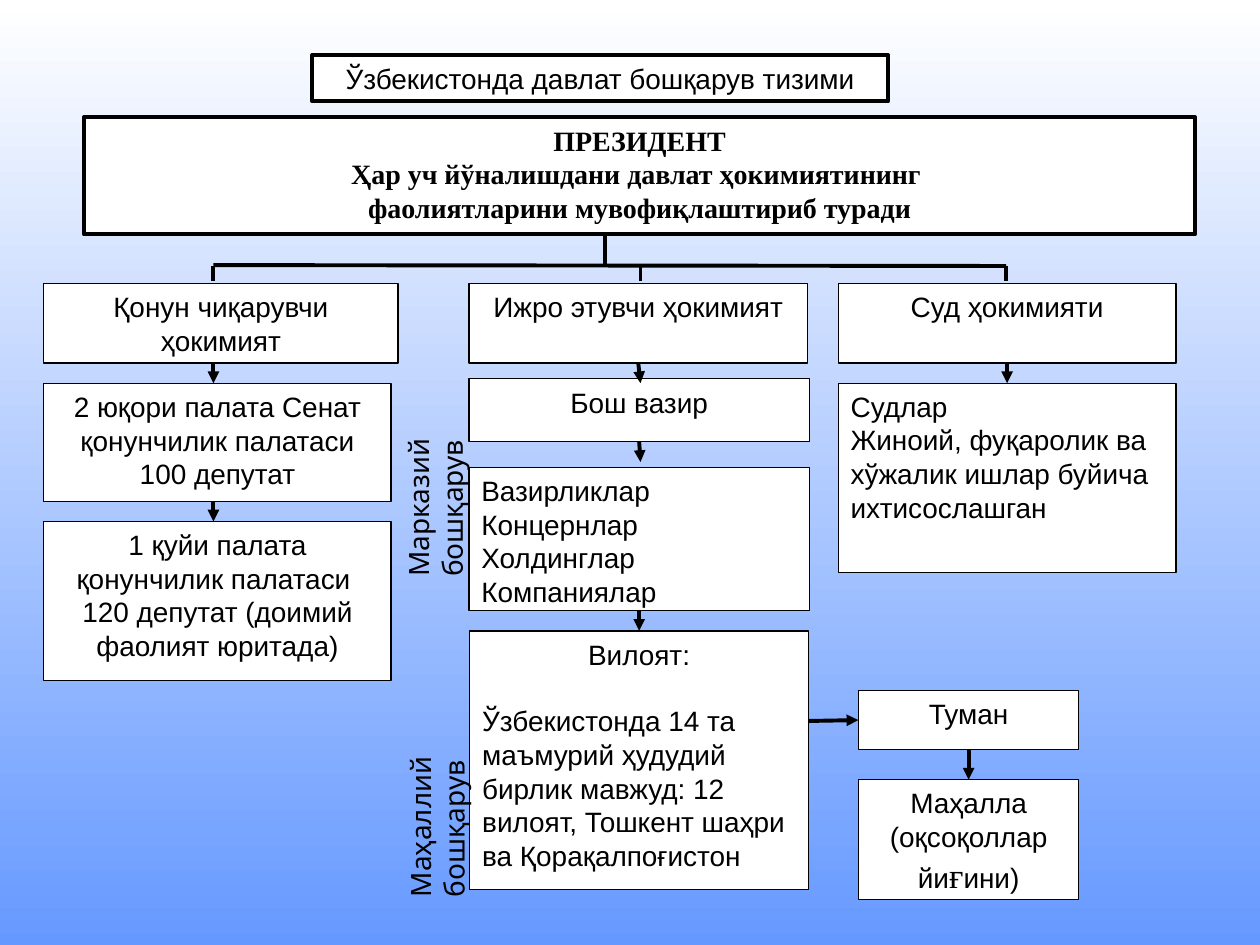
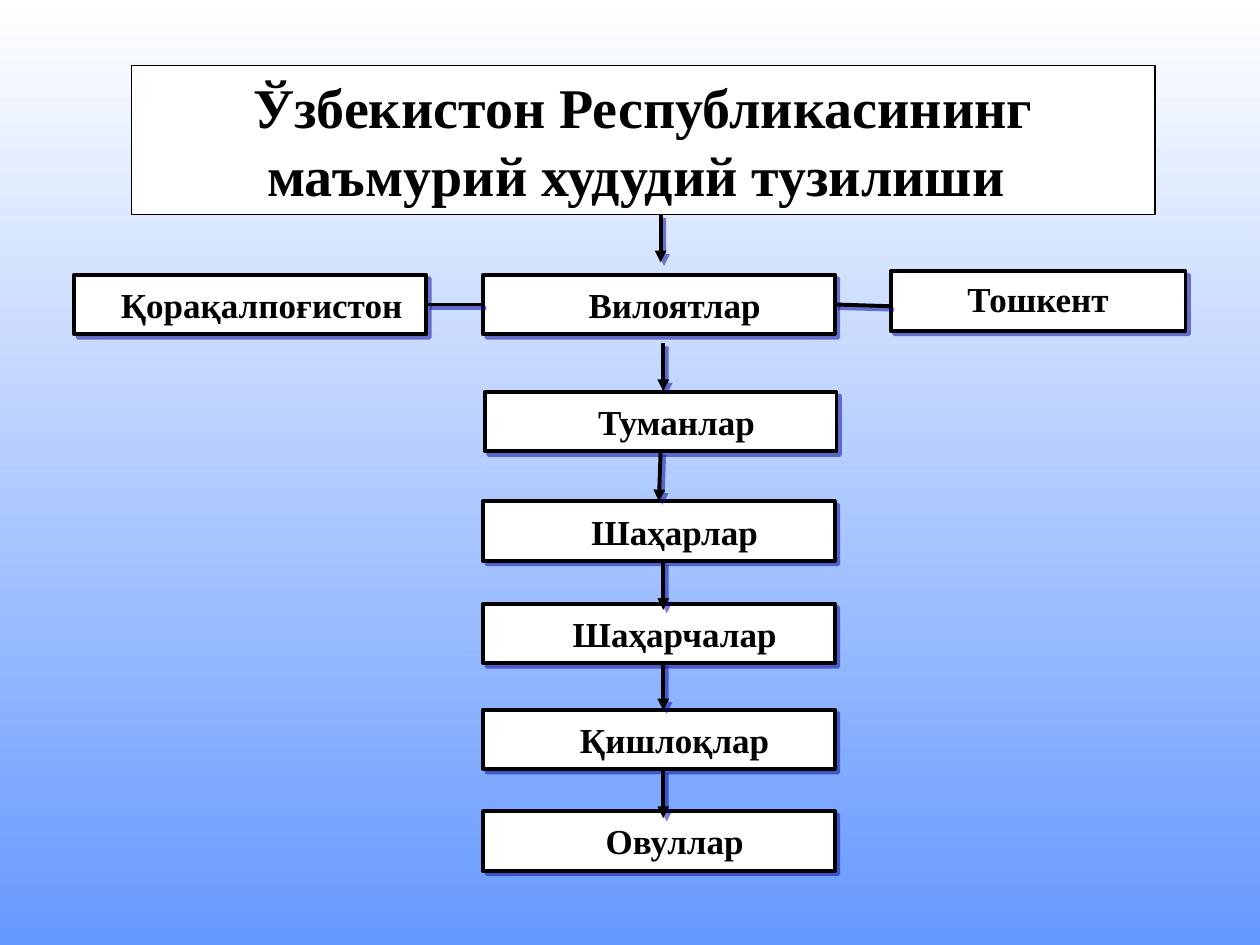
from dataclasses import dataclass
from math import dist

from lxml import etree
from pptx import Presentation
from pptx.dml.color import RGBColor
from pptx.enum.shapes import MSO_CONNECTOR, MSO_SHAPE
from pptx.enum.text import MSO_ANCHOR, PP_ALIGN
from pptx.oxml.ns import qn
from pptx.util import Pt

LEFT, CENTER = PP_ALIGN.LEFT, PP_ALIGN.CENTER
TOP, MIDDLE = MSO_ANCHOR.TOP, MSO_ANCHOR.MIDDLE
RECTANGLE, STRAIGHT = MSO_SHAPE.RECTANGLE, MSO_CONNECTOR.STRAIGHT


@dataclass(frozen=True)
class Theme:
    sky: str = "FFFFFF"
    sea: str = "6699FF"
    paper: str = "FFFFFF"
    ink: str = "000000"
    shadow: str = "010199"
    sans: str = "Arial"
    serif: str = "Times New Roman"
    side: str = "Karla"
    body: float = 16
    letter: float = 20
    tier: float = 20
    title: float = 32
    thin: float = 0.75
    thick: float = 2.25


THEME = Theme()

HEADING = ("Ўзбекистонда давлат бошқарув тизими", (178.5, 31.5, 329, 26.5))
PRESIDENT = (
    ["ПРЕЗИДЕНТ", "Ҳар уч йўналишдани давлат ҳокимиятининг ",
     "фаолиятларини мувофиқлаштириб туради"],
    (48, 67, 635, 67),
)
CENTERED_BOXES = [
    (["Қонун чиқарувчи ҳокимият"], (25, 162, 202.5, 45.5)),
    (["Ижро этувчи ҳокимият"], (268, 162, 193.5, 45.5)),
    (["Суд ҳокимияти"], (479, 162, 193, 45.5)),
    (["2 юқори палата Сенат қонунчилик палатаси", "100 депутат"], (25, 219, 198.5, 67.5)),
    (["1 қуйи палата қонунчилик палатаси ", "120 депутат (доимий фаолият юритада)"],
     (25, 298, 198.5, 91)),
    (["Бош вазир"], (268, 216.5, 194.5, 36)),
    (["Туман"], (490.5, 394.5, 126, 34)),
]
LISTING_BOXES = [
    (["Вазирликлар", "Концернлар", "Холдинглар", "Компаниялар"], (268, 267, 194.5, 82)),
    (["Судлар", "Жиноий, фуқаролик ва хўжалик ишлар буйича ихтисослашган"],
     (479, 219, 193, 108)),
]
REGION = (
    ["Вилоят:",
     "Ўзбекистонда 14 та маъмурий ҳудудий бирлик мавжуд: 12 вилоят, "
     "Тошкент шаҳри ва Қорақалпоғистон"],
    (268.5, 360.5, 193.5, 148),
)
REGION_GAP = 19
MAHALLA = (["Маҳалла (оқсоқоллар йи", "ғ", "ини)"], (490.5, 445.5, 126, 68.5))
SIDE_LABELS = [
    ("Маҳаллий бошқарув", (167, 424, 165, 26.5)),
    ("Марказий бошқарув", (167, 242, 163, 26.5)),
]
BRANCH_XS = (122, 366, 575)
BRANCH_LINES = [(122, 151.5, 575, 152), (345.5, 134, 345.5, 152)]
BRANCH_LINES += [(x, 152, x, 160.5) for x in BRANCH_XS]
SYSTEM_ARROWS = [(x, 207.5, x, 219) for x in BRANCH_XS] + [
    (366, 252.5, 366, 264),
    (366, 349, 366, 360.5),
    (122, 287, 122, 298),
    (462, 412, 490.5, 412),
    (553, 428.5, 553, 445.5),
]

TERRITORY_TITLE = (
    "Ўзбекистон Республикасининг маъмурий худудий тузилиши ", (75, 37.5, 585, 85))
TIER_SIZE = (201, 34)
TIER_INDENT = 18
TIERS = [
    ("Қорақалпоғистон ", 42.5, 157),
    ("Вилоятлар", 276, 157),
    ("Туманлар", 277, 224),
    ("Шаҳарлар", 276, 286.5),
    ("Шаҳарчалар", 276, 345),
    ("Қишлоқлар", 276, 405.5),
    ("Овуллар", 276, 463.5),
]
CAPITAL = ("Тошкент", (509, 155, 168.5, 34))
TIER_LINKS = [(243.5, 175, 276, 175), (477, 175, 509, 175)]
TIER_ARROW_LENGTH = 27.5
TIER_ARROWS = [(377.5, 122.5), (379, 196), (377.5, 258.5),
               (379, 321), (379, 378.5), (379, 440)]
JOIN_DISTANCE = 1.5


def color(value):
    return RGBColor.from_string(value)


def set_font(font, name, size, bold=False):
    font.name, font.size, font.bold = name, Pt(size), bold
    font.color.rgb = color(THEME.ink)


def add_shadow(effects):
    shadow = etree.SubElement(effects, qn("a:outerShdw"), blurRad="0",
                              dist=str(Pt(2.8)), dir="2700000", algn="ctr", rotWithShape="0")
    tint = etree.SubElement(shadow, qn("a:srgbClr"), val=THEME.shadow)
    etree.SubElement(tint, qn("a:alpha"), val="50000")


def write(shape, paragraphs, name, size, bold=False, align=CENTER, anchor=TOP):
    frame = shape.text_frame
    frame.word_wrap = True
    frame.vertical_anchor = anchor
    for index, text in enumerate(paragraphs):
        paragraph = frame.add_paragraph() if index else frame.paragraphs[0]
        paragraph.text = text
        paragraph.alignment = align
        set_font(paragraph.font, name, size, bold)


def add_box(slide, paragraphs, place, name=THEME.sans, size=THEME.body, bold=False,
            align=CENTER, anchor=TOP, border=THEME.thin, shadow=False):
    box = slide.shapes.add_shape(RECTANGLE, *map(Pt, place))
    box.fill.solid()
    box.fill.fore_color.rgb = color(THEME.paper)
    box.line.color.rgb = color(THEME.ink)
    box.line.width = Pt(border)
    box.shadow.inherit = False
    if shadow:
        add_shadow(box._element.spPr.find(qn("a:effectLst")))
    write(box, paragraphs, name, size, bold, align, anchor)
    return box


def side_middles(box):
    middle_x, middle_y = box.left + box.width / 2, box.top + box.height / 2
    return [(middle_x, box.top), (box.left, middle_y),
            (middle_x, box.top + box.height), (box.left + box.width, middle_y)]


def join(connect, point, boxes):
    for box in boxes:
        for side, middle in enumerate(side_middles(box)):
            if dist(point, middle) <= Pt(JOIN_DISTANCE):
                connect(box, side)
                return


def add_line(slide, ends, boxes, arrow=False, shadow=False):
    ends = [Pt(value) for value in ends]
    connector = slide.shapes.add_connector(STRAIGHT, *ends)
    connector.line.color.rgb = color(THEME.ink)
    connector.line.width = Pt(THEME.thick)
    properties = connector._element.spPr
    if arrow:
        etree.SubElement(properties.find(qn("a:ln")), qn("a:tailEnd"), type="triangle")
    effects = etree.SubElement(properties, qn("a:effectLst"))
    if shadow:
        add_shadow(effects)
    join(connector.begin_connect, ends[:2], boxes)
    join(connector.end_connect, ends[2:], boxes)


def add_slide(presentation):
    slide = presentation.slides.add_slide(presentation.slide_layouts[6])
    fill = slide.background.fill
    fill.gradient()
    fill.gradient_angle = 270
    for stop, value in zip(fill.gradient_stops, (THEME.sky, THEME.sea)):
        stop.color.rgb = color(value)
    return slide


def build_system(presentation):
    slide = add_slide(presentation)
    heading, place = HEADING
    add_box(slide, [heading], place, border=THEME.thick)
    add_box(slide, *PRESIDENT, name=THEME.serif, bold=True, border=THEME.thick)
    boxes = [add_box(slide, *content) for content in CENTERED_BOXES]
    boxes += [add_box(slide, *content, align=LEFT) for content in LISTING_BOXES]

    region = add_box(slide, *REGION)
    description = region.text_frame.paragraphs[1]
    description.alignment = LEFT
    description.space_before = Pt(REGION_GAP)

    parts, place = MAHALLA
    mahalla = add_box(slide, [""], place)
    for part in parts:
        run = mahalla.text_frame.paragraphs[0].add_run()
        run.text = part
        if part == "ғ":
            set_font(run.font, THEME.serif, THEME.letter)
        else:
            set_font(run.font, THEME.sans, THEME.body)
    boxes += [region, mahalla]

    for ends in BRANCH_LINES:
        add_line(slide, ends, boxes)
    for ends in SYSTEM_ARROWS:
        add_line(slide, ends, boxes, arrow=True)
    for text, place in SIDE_LABELS:
        label = slide.shapes.add_textbox(*map(Pt, place))
        label.rotation = 270
        write(label, [text], THEME.side, THEME.body, align=LEFT, anchor=MIDDLE)


def build_territory(presentation):
    slide = add_slide(presentation)
    title, place = TERRITORY_TITLE
    add_box(slide, [title], place, THEME.serif, THEME.title, True, anchor=MIDDLE)
    style = dict(name=THEME.serif, size=THEME.tier, bold=True,
                 border=THEME.thick, shadow=True)
    boxes = []
    for text, left, top in TIERS:
        box = add_box(slide, [text], (left, top, *TIER_SIZE), anchor=MIDDLE, **style)
        properties = box.text_frame.paragraphs[0]._p.get_or_add_pPr()
        properties.set("indent", str(Pt(TIER_INDENT)))
        boxes.append(box)
    capital, place = CAPITAL
    boxes.append(add_box(slide, [capital], place, **style))
    for ends in TIER_LINKS:
        add_line(slide, ends, boxes, shadow=True)
    for x, top in TIER_ARROWS:
        add_line(slide, (x, top, x, top + TIER_ARROW_LENGTH), boxes, arrow=True, shadow=True)


def main():
    presentation = Presentation()
    presentation.slide_width, presentation.slide_height = Pt(720), Pt(540)
    build_system(presentation)
    build_territory(presentation)
    presentation.save("out.pptx")


if __name__ == "__main__":
    main()
